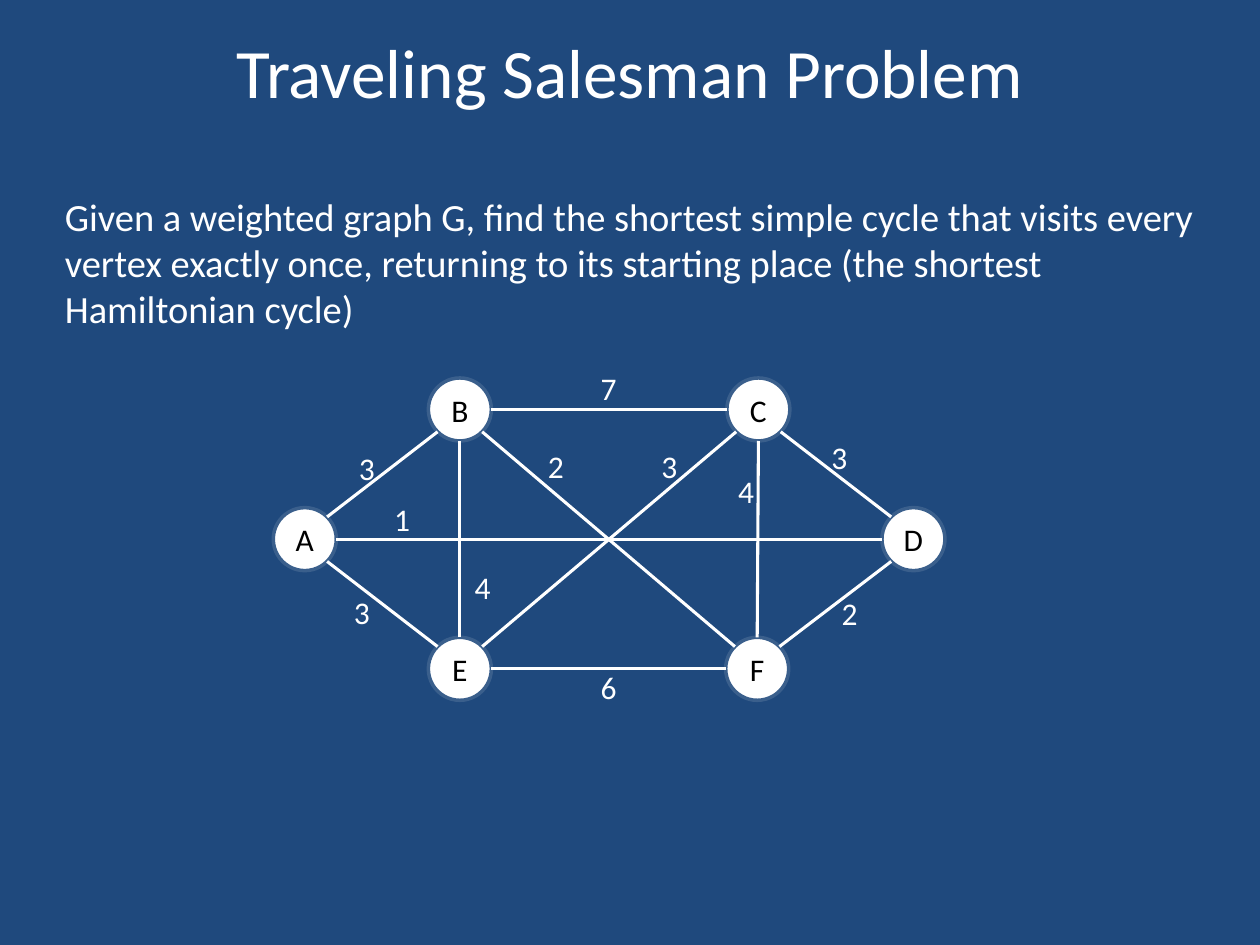
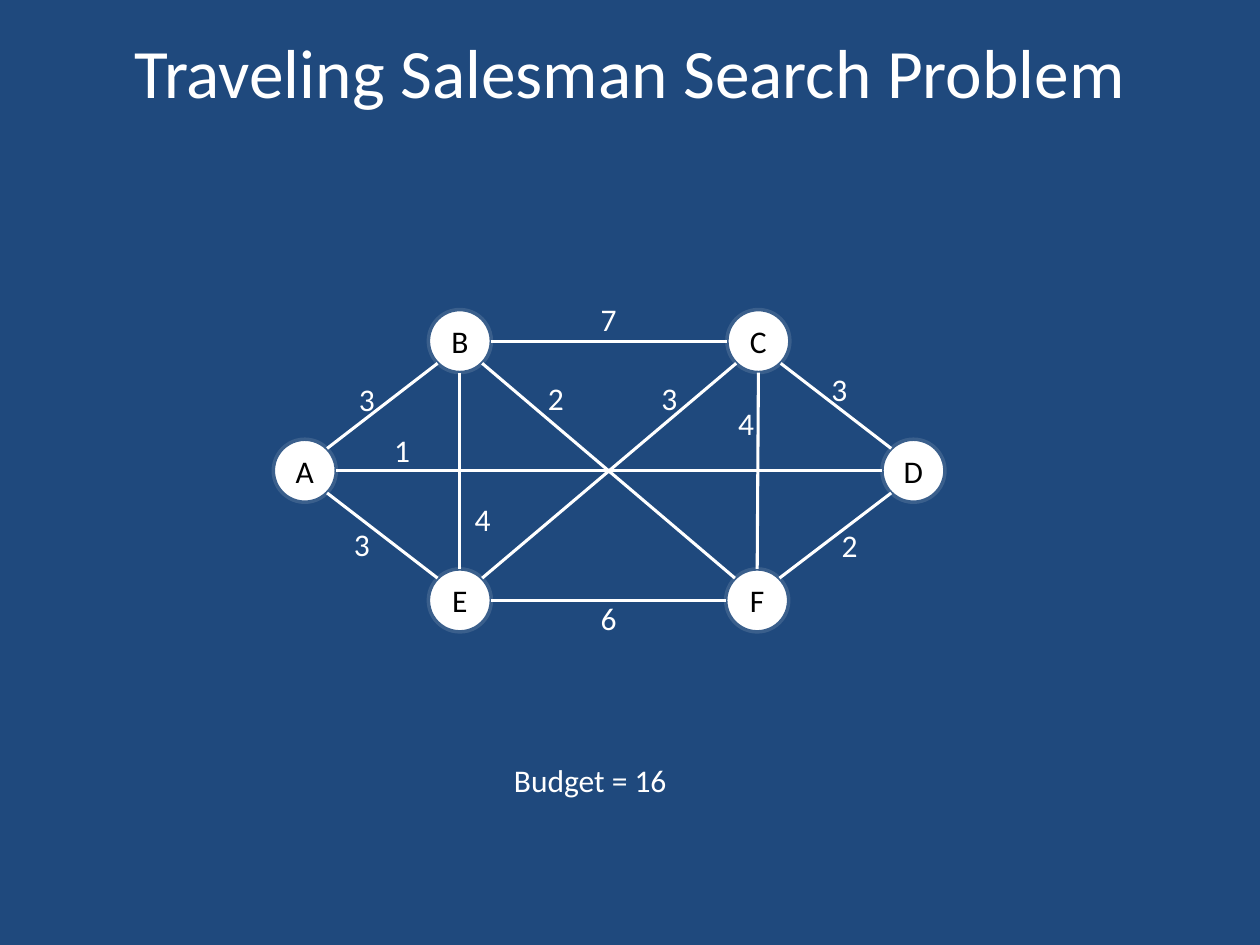
from math import atan2, cos, pi, sin

from lxml.etree import SubElement
from pptx import Presentation
from pptx.dml.color import RGBColor
from pptx.enum.shapes import MSO_CONNECTOR as Connector, MSO_SHAPE as Shape
from pptx.enum.text import MSO_ANCHOR as Anchor, MSO_AUTO_SIZE as AutoSize, PP_ALIGN as Align
from pptx.oxml.ns import qn
from pptx.util import Pt

NAVY = RGBColor(0x1F, 0x49, 0x7D)
RIM = RGBColor(0x3A, 0x5F, 0x8C)
WHITE = RGBColor(0xFF, 0xFF, 0xFF)
BLACK = RGBColor(0x00, 0x00, 0x00)
RADIUS = 18

VERTICES = {
    "B": (262.8, 0), "A": (174.2, 74.1), "E": (262.8, 148.2),
    "C": (433.4, 0), "F": (432.7, 148.2), "D": (522, 74.1),
}

EDGES = [
    ("E", "C", "3", 370.8, 18), ("F", "C", "4", 414.7, 32.4),
    ("F", "D", "2", 473.8, 102), ("A", "D", "1", 218.2, 48),
    ("A", "B", "3", 198, 18.8), ("A", "E", "3", 195.1, 101.4),
    ("E", "B", "4", 264.2, 87), ("C", "D", "3", 468, 13),
    ("E", "F", "6", 336.2, 144), ("B", "C", "7", 336.2, -26.8),
    ("F", "B", "2", 306, 18),
]


def write(tf, text, *, size=18, color=WHITE, align=Align.LEFT, anchor=Anchor.TOP, wrap=True):
    """Put formatted text into a text frame."""
    tf.word_wrap = wrap
    tf.auto_size = AutoSize.NONE if wrap else AutoSize.SHAPE_TO_FIT_TEXT
    tf.vertical_anchor = anchor
    p = tf.paragraphs[0]
    p.alignment = align
    r = p.add_run()
    r.text = text
    r.font.name = "Calibri"
    r.font.size = Pt(size)
    r.font.color.rgb = color


class Deck:
    """Hold the deck style and the current slide."""

    def __init__(self):
        self.prs = Presentation()
        self.prs.slide_width, self.prs.slide_height = Pt(720), Pt(540)
        fill = self.prs.slide_master.background.fill
        fill.solid()
        fill.fore_color.rgb = NAVY

    def slide(self, title):
        """Start a slide with a centred title."""
        self.s = self.prs.slides.add_slide(self.prs.slide_layouts[6])
        self.text(title, 36, 12.2, 648, 56.2, size=39.6, align=Align.CENTER, anchor=Anchor.MIDDLE)

    def text(self, text, x, y, w, h, **style):
        """Add a text box."""
        sp = self.s.shapes.add_textbox(Pt(x), Pt(y), Pt(w), Pt(h))
        write(sp.text_frame, text, **style)

    def vertex(self, name, x, y):
        """Add a named circle around a centre."""
        sp = self.s.shapes.add_shape(
            Shape.OVAL, Pt(x - RADIUS), Pt(y - RADIUS), Pt(2 * RADIUS), Pt(2 * RADIUS))
        sp.shadow.inherit = False
        sp.fill.solid()
        sp.fill.fore_color.rgb = WHITE
        sp.line.color.rgb = RIM
        sp.line.width = Pt(2)
        write(sp.text_frame, name, color=BLACK, align=Align.CENTER, anchor=Anchor.MIDDLE)

    def edge(self, x1, y1, x2, y2):
        """Join two circles at their nearest eighth-turn points."""
        turn = round(atan2(y2 - y1, x2 - x1) / (pi / 4)) * pi / 4
        dx, dy = RADIUS * cos(turn), RADIUS * sin(turn)
        line = self.s.shapes.add_connector(
            Connector.STRAIGHT, Pt(x1 + dx), Pt(y1 + dy), Pt(x2 - dx), Pt(y2 - dy))
        line.line.color.rgb = WHITE
        line.line.width = Pt(1.75)
        SubElement(line._element.spPr, qn("a:effectLst"))

    def graph(self, top):
        """Draw the weighted graph with its upper row centred at top."""
        centres = {name: (x, top + y) for name, (x, y) in VERTICES.items()}
        for name, centre in centres.items():
            self.vertex(name, *centre)
        for start, end, *_ in EDGES:
            self.edge(*centres[start], *centres[end])
        for *_, weight, x, y in EDGES:
            self.text(weight, x, top + y, 23.8, 29, wrap=False)


def main():
    """Build and save both slides."""
    deck = Deck()
    deck.slide("Traveling Salesman Problem")
    deck.text(
        "Given a weighted graph G, find the shortest simple cycle that visits every vertex "
        "exactly once, returning to its starting place (the shortest Hamiltonian cycle)",
        30, 106.6, 660, 327, size=22)
    deck.graph(234)

    deck.slide("Traveling Salesman Search Problem")
    deck.graph(194.9)
    deck.text("Budget = 16", 286.6, 431.3, 103, 29, wrap=False)
    deck.prs.save("out.pptx")


if __name__ == "__main__":
    main()
